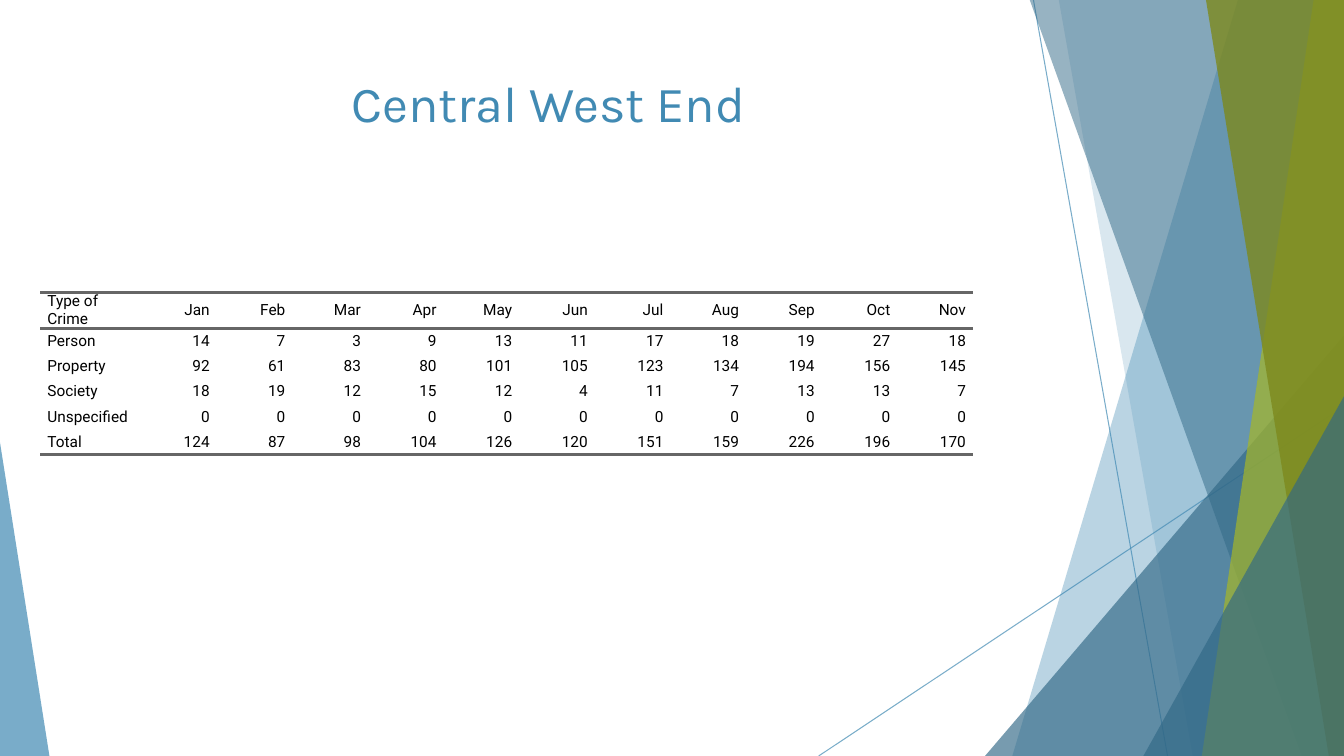
import dataclasses

import pptx
import pptx.dml.color
import pptx.enum.shapes
import pptx.enum.text
import pptx.oxml
import pptx.oxml.ns
import pptx.util

Inches = pptx.util.Inches
ALIGN = pptx.enum.text.PP_ALIGN
ANCHOR = pptx.enum.text.MSO_ANCHOR
TOP, BOTTOM = -0.01, 7.5
WIDTH = 13.33
PLAIN_TABLE = "{2D5ABB26-0587-4C30-8999-92F81FD0307C}"

CRIME_ROWS = [
    ["Type of Crime", "Jan", "Feb", "Mar", "Apr", "May", "Jun",
     "Jul", "Aug", "Sep", "Oct", "Nov"],
    ["Person", 14, 7, 3, 9, 13, 11, 17, 18, 19, 27, 18],
    ["Property", 92, 61, 83, 80, 101, 105, 123, 134, 194, 156, 145],
    ["Society", 18, 19, 12, 15, 12, 4, 11, 7, 13, 13, 7],
    ["Unspecified"] + [0] * 11,
    ["Total", 124, 87, 98, 104, 126, 120, 151, 159, 226, 196, 170],
]


@dataclasses.dataclass
class Theme:
    blue: str = "418AB3"
    navy: str = "316886"
    lime: str = "A6B727"
    olive: str = "7D891D"
    rule: str = "666666"
    ink: str = "000000"
    title_font: str = "Karla"
    table_font: str = "Roboto"
    title_size: int = 36
    table_size: int = 11
    hairline: float = 0.75
    rule_width: int = 2


def color(value):
    return pptx.dml.color.RGBColor.from_string(value)


def apply(target, values):
    for name, value in values.items():
        setattr(target, name, value)


class SlideBuilder:
    """Draws themed elements on one slide."""

    def __init__(self, page, theme):
        self.page = page
        self.theme = theme

    def fade(self, element, percent):
        for tint in element.iter(pptx.oxml.ns.qn("a:srgbClr")):
            alpha = tint.makeelement(pptx.oxml.ns.qn("a:alpha"),
                                     {"val": str(percent * 1000)})
            tint.append(alpha)

    def line(self, start, end):
        link = self.page.shapes.add_connector(
            pptx.enum.shapes.MSO_CONNECTOR.STRAIGHT,
            *(Inches(value) for value in start + end))
        link.line.color.rgb = color(self.theme.blue)
        link.line.width = pptx.util.Pt(self.theme.hairline)
        properties = link.element.spPr
        self.fade(properties, 70)
        properties.append(properties.makeelement(
            pptx.oxml.ns.qn("a:effectLst"), {}))

    def paint(self, shape, fill, opacity):
        shape.shadow.inherit = False
        shape.fill.solid()
        shape.fill.fore_color.rgb = color(fill)
        shape.line.fill.background()
        self.fade(shape.element.spPr, opacity)

    def band(self, top_left, bottom_left, fill, opacity):
        outline = self.page.shapes.build_freeform(
            Inches(top_left), Inches(TOP))
        outline.add_line_segments(
            [(Inches(x), Inches(y)) for x, y in
             ((WIDTH, TOP), (WIDTH, BOTTOM), (bottom_left, BOTTOM))])
        self.paint(outline.convert_to_shape(), fill, opacity)

    def triangle(self, left, top, width, apex, fill, opacity):
        shape = self.page.shapes.add_shape(
            pptx.enum.shapes.MSO_SHAPE.ISOSCELES_TRIANGLE,
            Inches(left), Inches(top), Inches(width), Inches(BOTTOM - top))
        shape.adjustments[0] = apex
        self.paint(shape, fill, opacity)

    def text(self, frame, words, align, font, size, ink):
        para = frame.paragraphs[0]
        para.alignment = align
        span = para.add_run()
        span.text = words
        apply(span.font, {"name": font, "size": pptx.util.Pt(size)})
        span.font.color.rgb = color(ink)

    def title(self, words, left, top, width, height):
        box = self.page.shapes.add_textbox(
            Inches(left), Inches(top), Inches(width), Inches(height))
        apply(box.text_frame, {"word_wrap": True,
                               "vertical_anchor": ANCHOR.TOP})
        self.text(box.text_frame, words, ALIGN.CENTER, self.theme.title_font,
                  self.theme.title_size, self.theme.blue)

    def border(self, cell, side):
        namespace = pptx.oxml.ns.nsdecls("a")
        width = pptx.util.Pt(self.theme.rule_width)
        cell._tc.get_or_add_tcPr().append(pptx.oxml.parse_xml(
            f'<a:{side} {namespace} w="{width}"><a:solidFill>'
            f'<a:srgbClr val="{self.theme.rule}"/></a:solidFill></a:{side}>'))

    def table(self, rows, left, top, widths, heights):
        grid = self.page.shapes.add_table(
            len(rows), len(widths), Inches(left), Inches(top),
            Inches(sum(widths)), Inches(sum(heights))).table
        apply(grid, {"first_row": False, "horz_banding": False})
        style = grid._tbl.tblPr.find(pptx.oxml.ns.qn("a:tableStyleId"))
        style.text = PLAIN_TABLE
        for column, width in zip(grid.columns, widths):
            column.width = Inches(width)
        for row, height in zip(grid.rows, heights):
            row.height = Inches(height)
        for r, values in enumerate(rows):
            for c, value in enumerate(values):
                cell = grid.cell(r, c)
                apply(cell, {"vertical_anchor": ANCHOR.MIDDLE,
                             "margin_left": Inches(0.07),
                             "margin_right": Inches(0.07),
                             "margin_top": 0, "margin_bottom": 0})
                if r == 0:
                    self.border(cell, "lnT")
                if r in (0, len(rows) - 1):
                    self.border(cell, "lnB")
                cell.fill.background()
                self.text(cell.text_frame, str(value),
                          ALIGN.RIGHT if c else ALIGN.LEFT,
                          self.theme.table_font, self.theme.table_size,
                          self.theme.ink)


def main():
    deck = pptx.Presentation()
    apply(deck, {"slide_width": Inches(WIDTH), "slide_height": Inches(BOTTOM)})
    theme = Theme()
    builder = SlideBuilder(deck.slides.add_slide(deck.slide_layouts[6]), theme)

    builder.line((10.25, 0), (11.58, BOTTOM))
    builder.line((WIDTH, 4.03), (8.12, BOTTOM))
    builder.band(12.28, 10.04, theme.blue, 36)
    builder.band(10.5, 11.83, theme.blue, 20)
    builder.triangle(9.77, 3.33, 3.56, 1, theme.navy, 66)
    builder.band(10.21, 12.91, theme.navy, 50)
    builder.band(13.03, 11.92, theme.lime, 70)
    builder.band(11.96, 13.18, theme.olive, 80)
    builder.triangle(11.34, 3.93, 1.99, 1, theme.navy, 66)
    builder.triangle(0, 4.39, 0.49, 0, theme.blue, 70)

    builder.table(CRIME_ROWS, 0.4, 2.9, [1] + [0.75] * 11,
                  [0.36] + [0.25] * 5)
    builder.title("Central West End", 0.74, 0.67, 9.4, 1.44)
    deck.save("out.pptx")


if __name__ == "__main__":
    main()
